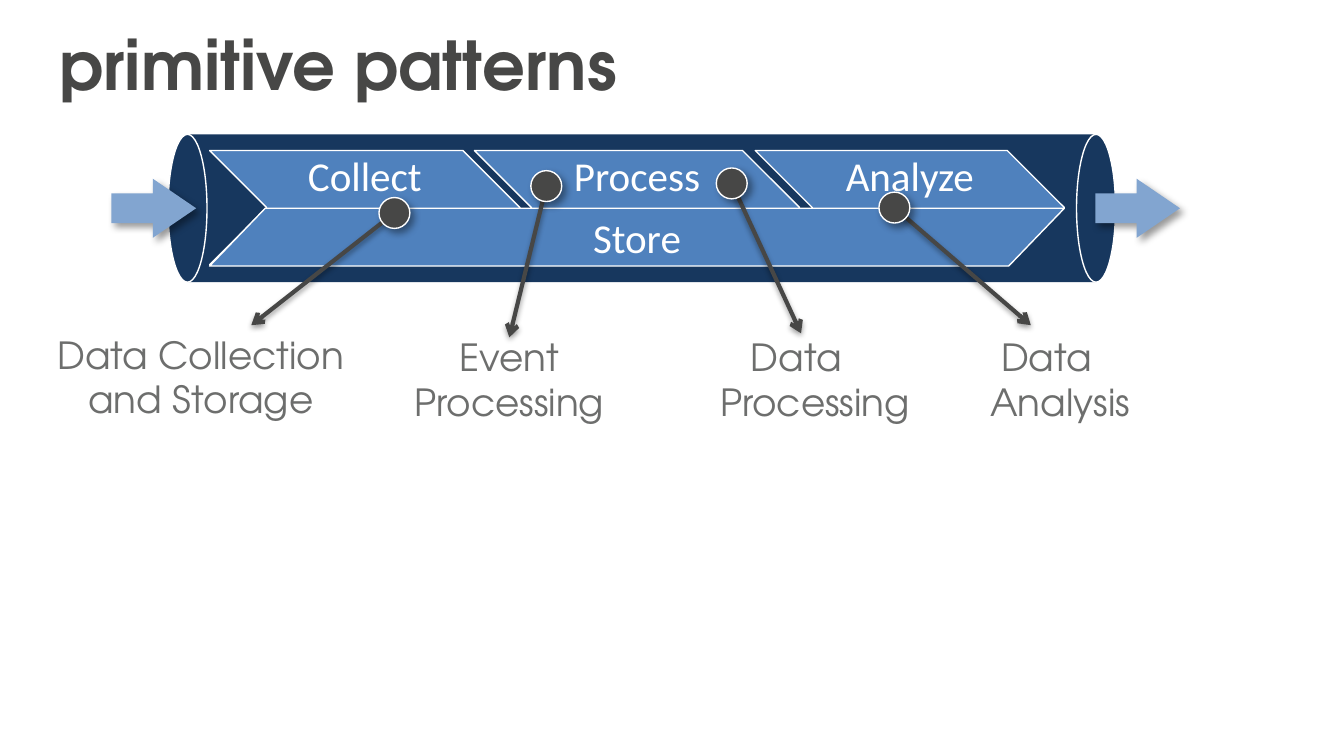
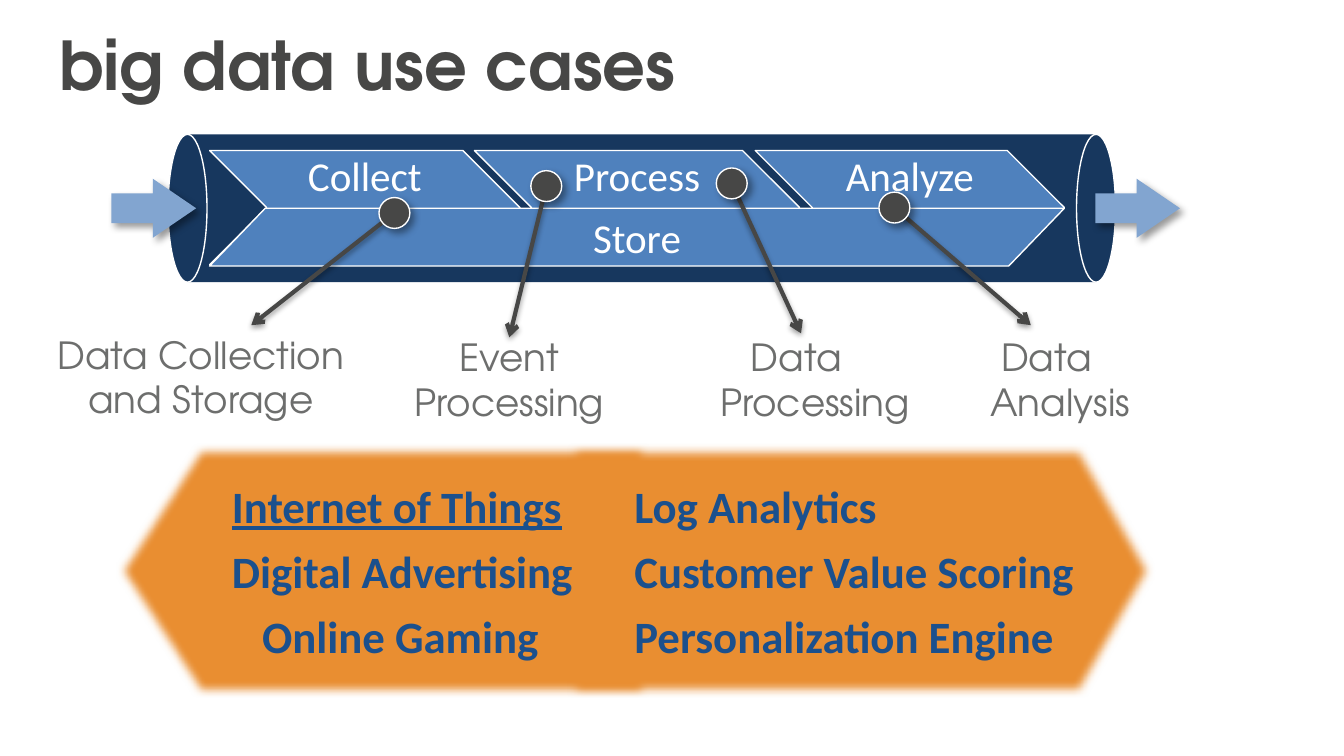
"""Build two slides on data pipeline patterns and big data use cases."""
from dataclasses import dataclass
from typing import Any, NamedTuple

from lxml.etree import SubElement
from pptx import Presentation
from pptx.dml.color import RGBColor
from pptx.enum.shapes import MSO_CONNECTOR, MSO_SHAPE
from pptx.enum.text import MSO_ANCHOR, MSO_AUTO_SIZE, PP_ALIGN
from pptx.oxml.ns import qn
from pptx.util import Inches, Pt


@dataclass(frozen=True)
class Theme:
    """Colours, fonts and type sizes of both slides."""
    ink: str = "474746"
    label: str = "6D6E6D"
    white: str = "FFFFFF"
    pipe: str = "17375E"
    stage: str = "4F81BD"
    flow: str = "82A5D0"
    panel: str = "E98E31"
    case: str = "1B508D"
    head_font: str = "TeX Gyre Adventor"
    body_font: str = "Calibri"
    title_size: int = 36
    case_size: int = 24
    stage_size: int = 22
    label_size: int = 20
    outline: float = 0.75
    arrow: float = 2.25


class Box(NamedTuple):
    """Left, top, width and height in inches."""
    left: float
    top: float
    width: float
    height: float


class Shadow(NamedTuple):
    """Opacity in percent, blur and distance in points, angle in degrees."""
    alpha: int
    blur: float
    dist: float
    angle: int


class Line(NamedTuple):
    """One paragraph with its alignment, indent and underline."""
    text: str
    align: Any = PP_ALIGN.CENTER
    indent: float = 0
    underline: bool = False


class Stage(NamedTuple):
    """One chevron of the pipeline."""
    name: str
    left: float
    width: float


class Callout(NamedTuple):
    """A dot on the pipeline with an arrow to its label."""
    dot: tuple[float, float]
    tip: tuple[float, float]
    box: Box
    lines: tuple[Line, ...]
    wrap: bool = False


class Panel(NamedTuple):
    """One pointed panel of use cases."""
    box: Box
    point: float
    flip: bool
    wrap: bool
    inset: float
    lines: tuple[Line, ...]


THEME = Theme()
SOFT = Shadow(40, 4, 3, 45)
DROP = Shadow(38, 3.1, 1.6, 90)
DOT = 0.23
LEFT = PP_ALIGN.LEFT

TITLE_FONT = {"name": THEME.head_font, "size": Pt(THEME.title_size), "bold": True}
LABEL_FONT = {"name": THEME.head_font, "size": Pt(THEME.label_size)}
STAGE_FONT = {"name": THEME.body_font, "size": Pt(THEME.stage_size)}
CASE_FONT = {"name": THEME.body_font, "size": Pt(THEME.case_size), "bold": True}

STAGES = (Stage("Collect", 1.56, 2.31), Stage("Process", 3.53, 2.42), Stage("Analyze", 5.62, 2.3))
CALLOUTS = (
    Callout((2.82, 1.47), (1.87, 2.42), Box(0.32, 2.42, 2.35, 0.77),
            (Line("Data Collection"), Line("and Storage")), True),
    Callout((5.33, 1.25), (5.96, 2.48), Box(5.26, 2.44, 1.64, 0.77),
            (Line("Data", LEFT, 0.23), Line("Processing"))),
    Callout((3.95, 1.27), (3.79, 2.51), Box(2.97, 2.44, 1.64, 0.77),
            (Line("Event"), Line("Processing"))),
    Callout((6.54, 1.43), (7.67, 2.42), Box(7.27, 2.44, 1.25, 0.77),
            (Line("Data", LEFT, 0.08), Line("Analysis"))),
)
PANELS = (
    Panel(Box(0.82, 3.3, 4.01, 1.89), 0.325, True, True, 0.1,
          (Line("Internet of Things", LEFT, 0.5, True),
           Line("Digital Advertising", LEFT, 0.5), Line("Online Gaming"))),
    Panel(Box(4.22, 3.3, 4.41, 1.89), 0.285, False, False, 0,
          tuple(Line(text, LEFT, 0.5) for text in
                ("Log Analytics", "Customer Value Scoring", "Personalization Engine"))),
)


def rgb(value: str) -> RGBColor:
    """Turn a hex string into a colour."""
    return RGBColor.from_string(value)


def set_all(target: Any, values: dict[str, Any]) -> None:
    """Set each attribute from a dict of format values."""
    for name, value in values.items():
        setattr(target, name, value)


def add_shadow(effects: Any, shadow: Shadow) -> None:
    """Put an outer shadow in an effect list."""
    outer = SubElement(effects, qn("a:outerShdw"), blurRad=str(Pt(shadow.blur)),
                       dist=str(Pt(shadow.dist)), dir=str(shadow.angle * 60000),
                       algn="ctr", rotWithShape="0")
    colour = SubElement(outer, qn("a:srgbClr"), val="000000")
    SubElement(colour, qn("a:alpha"), val=str(shadow.alpha * 1000))


def add_form(shapes: Any, kind: Any, box: Box, fill: str, outlined: bool = True,
             adjust: tuple[float, ...] = (), shadow: Shadow | None = None) -> Any:
    """Draw a filled preset shape."""
    sp = shapes.add_shape(kind, *map(Inches, box))
    for i, value in enumerate(adjust):
        sp.adjustments[i] = value
    sp.fill.solid()
    sp.fill.fore_color.rgb = rgb(fill)
    if outlined:
        sp.line.color.rgb = rgb(THEME.white)
        sp.line.width = Pt(THEME.outline)
    else:
        sp.line.fill.background()
    sp.shadow.inherit = False
    if shadow:
        add_shadow(sp._element.spPr.find(qn("a:effectLst")), shadow)
    return sp


def write(sp: Any, lines: tuple[Line, ...], font: dict[str, Any], colour: str,
          frame: dict[str, Any], para: dict[str, Any] | None = None) -> None:
    """Fill a text frame with paragraphs of one style."""
    tf = sp.text_frame
    set_all(tf, {"word_wrap": True, "vertical_anchor": MSO_ANCHOR.TOP} | frame)
    for i, line in enumerate(lines):
        p = tf.add_paragraph() if i else tf.paragraphs[0]
        set_all(p, {"alignment": line.align} | (para or {}))
        pPr = p._p.get_or_add_pPr()
        pPr.set("marL", str(Inches(line.indent)))
        pPr.set("indent", "0")
        r = p.add_run()
        r.text = line.text
        set_all(r.font, font)
        r.font.color.rgb = rgb(colour)
        if line.underline:
            r.font.underline = True


def add_title(s: Any, text: str) -> None:
    """Write the slide title."""
    sp = s.shapes.add_textbox(*map(Inches, (0.37, 0.13, 8.97, 0.94)))
    sides = {f"margin_{side}": Inches(0.07) for side in ("left", "right")}
    ends = {f"margin_{side}": Inches(0.04) for side in ("top", "bottom")}
    write(sp, (Line(text, LEFT),), TITLE_FONT, THEME.ink, sides | ends)


def add_pipeline(s: Any) -> None:
    """Draw the pipe with its stages and the store beneath them."""
    shapes = s.shapes.add_group_shape().shapes
    add_form(shapes, MSO_SHAPE.RECTANGLE, Box(1.4, 1, 6.75, 1.1), THEME.pipe, False)
    for left in (1.25, 8.01):
        add_form(shapes, MSO_SHAPE.OVAL, Box(left, 1, 0.29, 1.1), THEME.pipe)
    for left in (8.15, 0.83):
        add_form(shapes, MSO_SHAPE.RIGHT_ARROW, Box(left, 1.33, 0.63, 0.44),
                 THEME.flow, False, (0.5, 0.733), SOFT)
    for stage in STAGES:
        sp = add_form(shapes, MSO_SHAPE.CHEVRON, Box(stage.left, 1.12, stage.width, 0.85),
                      THEME.stage)
        write(sp, (Line(stage.name),), STAGE_FONT, THEME.white, {"margin_top": 0})
    store = add_form(shapes, MSO_SHAPE.PARALLELOGRAM, Box(1.56, 1.55, 6.36, 0.43),
                     THEME.stage, adjust=(0.963,))
    write(store, (Line("Store"),), STAGE_FONT, THEME.white,
          {"vertical_anchor": MSO_ANCHOR.MIDDLE})


def add_callout(s: Any, callout: Callout) -> None:
    """Draw a label, the arrow to it and the dot it starts from."""
    shapes = s.shapes.add_group_shape().shapes
    sp = shapes.add_textbox(*map(Inches, callout.box))
    write(sp, callout.lines, LABEL_FONT, THEME.label,
          {"word_wrap": callout.wrap, "auto_size": MSO_AUTO_SIZE.SHAPE_TO_FIT_TEXT})
    start = tuple(edge + DOT / 2 for edge in callout.dot)
    arrow = shapes.add_connector(MSO_CONNECTOR.STRAIGHT, *map(Inches, start + callout.tip))
    arrow.line.color.rgb = rgb(THEME.ink)
    arrow.line.width = Pt(THEME.arrow)
    spPr = arrow._element.spPr
    SubElement(spPr.find(qn("a:ln")), qn("a:tailEnd"), type="arrow")
    add_shadow(SubElement(spPr, qn("a:effectLst")), DROP)
    add_form(shapes, MSO_SHAPE.OVAL, Box(*callout.dot, DOT, DOT), THEME.ink, shadow=SOFT)


def add_panel(shapes: Any, panel: Panel) -> None:
    """Draw a soft-edged panel of use cases."""
    sp = add_form(shapes, MSO_SHAPE.PENTAGON, panel.box, THEME.panel, False, (panel.point,))
    spPr = sp._element.spPr
    if panel.flip:
        spPr.get_or_add_xfrm().set("flipH", "1")
    SubElement(spPr.find(qn("a:effectLst")), qn("a:softEdge"), rad=str(Pt(5)))
    write(sp, panel.lines, CASE_FONT, THEME.case,
          {"vertical_anchor": MSO_ANCHOR.MIDDLE, "word_wrap": panel.wrap,
           "margin_left": Inches(panel.inset)},
          {"level": 1, "space_after": Pt(6)})


def add_slide(prs: Any, title: str, panels: tuple[Panel, ...] = ()) -> None:
    """Add a slide with the pipeline, its callouts and any panels."""
    s = prs.slides.add_slide(prs.slide_layouts[6])
    add_title(s, title)
    if panels:
        shapes = s.shapes.add_group_shape().shapes
        for panel in panels:
            add_panel(shapes, panel)
    add_pipeline(s)
    for callout in CALLOUTS:
        add_callout(s, callout)


def main() -> None:
    """Build and save the presentation."""
    prs = Presentation()
    prs.slide_width = Inches(10)
    prs.slide_height = Inches(10 * 9 / 16)
    add_slide(prs, "primitive patterns")
    add_slide(prs, "big data use cases", PANELS)
    prs.save("out.pptx")


if __name__ == "__main__":
    main()
